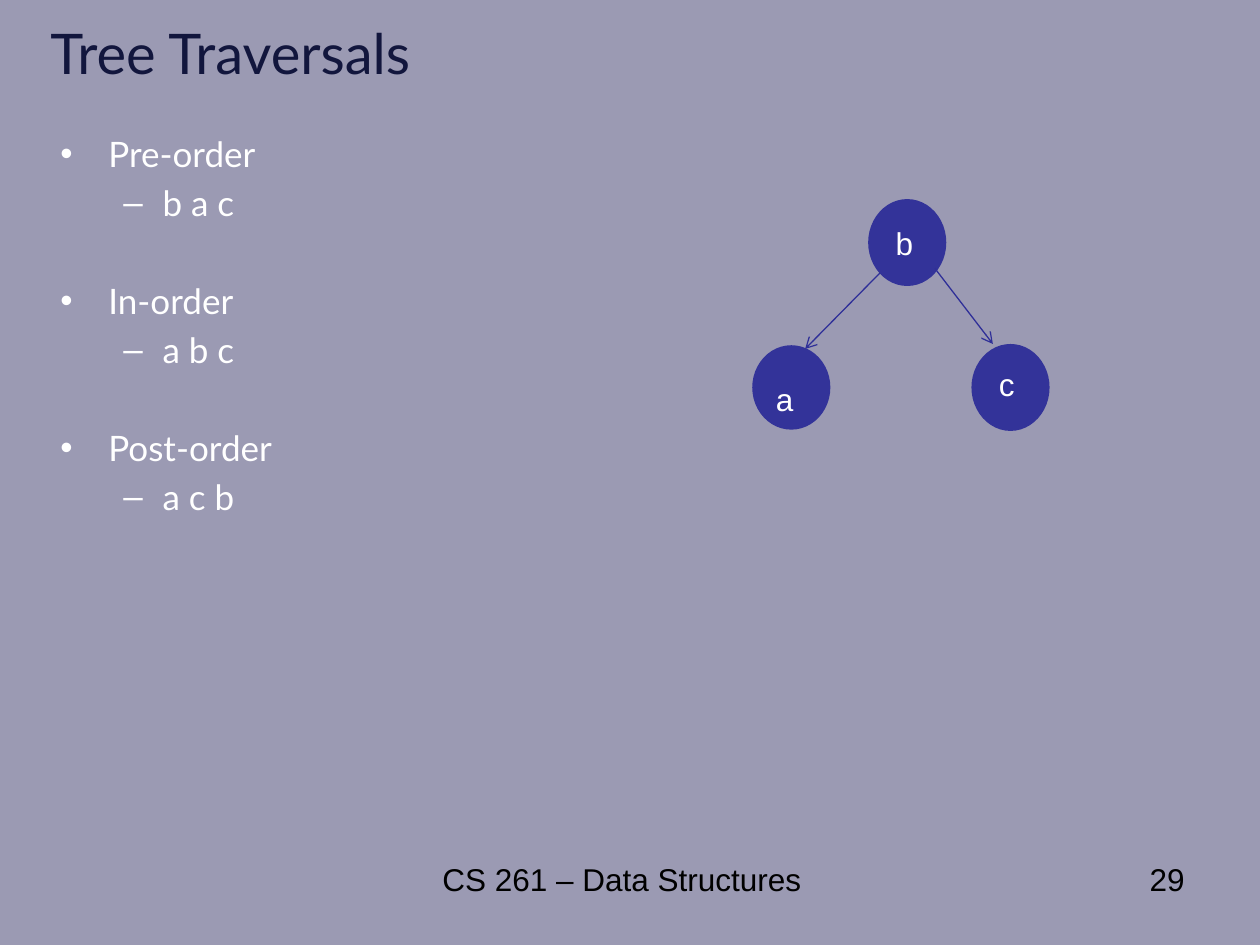
from lxml import etree
from pptx import Presentation
from pptx import util as u
from pptx.dml.color import RGBColor
from pptx.enum import shapes, text
from pptx.oxml.ns import qn

COLORS = {
    "background": "9B9AB3",
    "title": "12163D",
    "light": "FFFFFF",
    "dark": "000000",
    "node": "333399",
    "edge": "2F2F98",
}
TRAVERSALS = [("Pre-order", "b a c"), ("In-order", "a b c"), ("Post-order", "a c b")]


def color(name):
    return RGBColor.from_string(COLORS[name])


def boxed(*lengths):
    return [u.Inches(length) for length in lengths]


def place(shape, *box):
    shape.left, shape.top, shape.width, shape.height = boxed(*box)


def write(paragraph, content, size=18, font="Arial", ink="light",
          align=text.PP_ALIGN.LEFT, before=0):
    paragraph.alignment = align
    paragraph.space_before = u.Pt(before)
    run = paragraph.add_run()
    run.text = content
    run.font.size = u.Pt(size)
    run.font.name = font
    run.font.color.rgb = color(ink)


def set_bullet(paragraph, character, margin, hanging):
    properties = paragraph._p.get_or_add_pPr()
    properties.set("marL", str(u.Inches(margin)))
    properties.set("indent", str(-u.Inches(hanging)))
    etree.SubElement(properties, qn("a:buChar")).set("char", character)


def add_title(slide):
    title = slide.shapes.title
    place(title, 0.3, 0.08, 9, 0.67)
    title.text_frame.vertical_anchor = text.MSO_ANCHOR.MIDDLE
    write(title.text_frame.paragraphs[0], "Tree Traversals",
          size=32, font="Lato", ink="title")


def add_traversal_list(slide):
    body = slide.placeholders[1]
    place(body, 0.38, 1, 9.22, 5.5)
    frame = body.text_frame
    frame.auto_size = text.MSO_AUTO_SIZE.NONE
    for index, (name, order) in enumerate(TRAVERSALS):
        heading = frame.add_paragraph() if index else frame.paragraphs[0]
        write(heading, name, size=20, font="Lato", before=32 if index else 0)
        set_bullet(heading, "•", 0.38, 0.38)
        detail = frame.add_paragraph()
        detail.level = 1
        write(detail, order, size=20, font="Lato", before=4)
        set_bullet(detail, "–", 0.81, 0.31)


def add_label(slide, content, box, **style):
    label = slide.shapes.add_textbox(*boxed(*box))
    label.text_frame.word_wrap = True
    write(label.text_frame.paragraphs[0], content, **style)


def add_node(slide, name, box, label_box):
    node = slide.shapes.add_shape(shapes.MSO_SHAPE.OVAL, *boxed(*box))
    node.shadow.inherit = False
    node.fill.solid()
    node.fill.fore_color.rgb = color("node")
    node.line.fill.background()
    add_label(slide, name, label_box)


def add_arrow(slide, start, end):
    arrow = slide.shapes.add_connector(
        shapes.MSO_CONNECTOR.STRAIGHT, *boxed(*start, *end))
    arrow.line.color.rgb = color("edge")
    arrow.line.width = u.Pt(0.75)
    etree.SubElement(arrow.line._get_or_add_ln(), qn("a:tailEnd")).set("type", "arrow")
    etree.SubElement(arrow._element.spPr, qn("a:effectLst"))


def add_tree(slide):
    add_arrow(slide, (7.01, 2.14), (6.39, 2.77))
    add_node(slide, "a", (5.97, 2.74, 0.62, 0.67), (6.06, 2.97, 0.64, 0.4))
    add_node(slide, "b", (6.89, 1.58, 0.62, 0.69), (7.01, 1.73, 0.55, 0.4))
    add_node(slide, "c", (7.71, 2.73, 0.62, 0.69), (7.83, 2.85, 0.48, 0.4))
    add_arrow(slide, (7.42, 2.13), (7.88, 2.73))


def main():
    presentation = Presentation()
    presentation.slide_width, presentation.slide_height = boxed(10, 7.5)
    slide = presentation.slides.add_slide(presentation.slide_layouts[1])
    slide.background.fill.solid()
    slide.background.fill.fore_color.rgb = color("background")
    add_title(slide)
    add_traversal_list(slide)
    add_label(slide, "CS 261 – Data Structures", (3.04, 6.78, 3.79, 0.52),
              ink="dark", align=text.PP_ALIGN.CENTER)
    add_label(slide, "29", (7.17, 6.78, 2.33, 0.52),
              ink="dark", align=text.PP_ALIGN.RIGHT)
    add_tree(slide)
    presentation.save("out.pptx")


if __name__ == "__main__":
    main()
